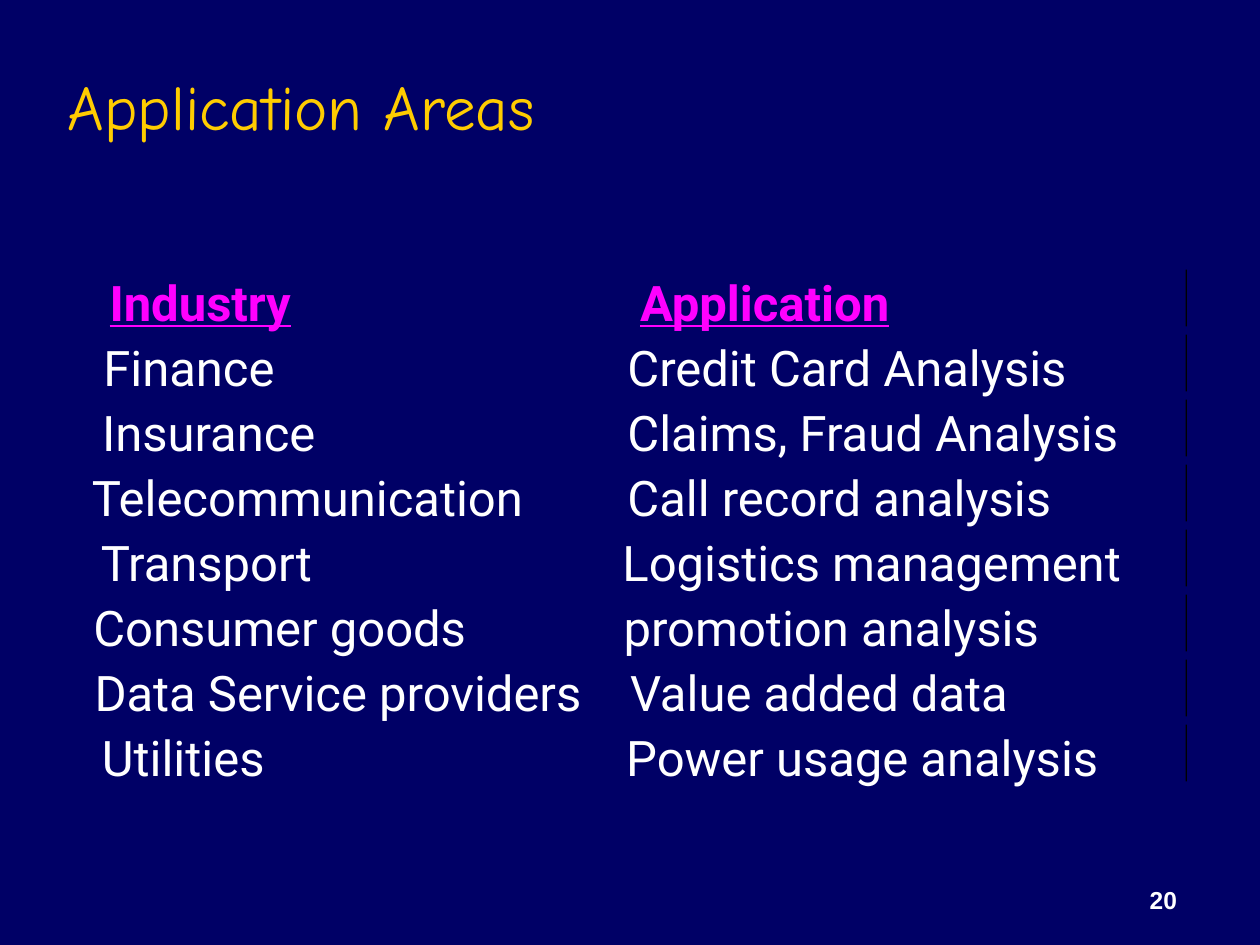
"""Build the slide that pairs industries with their application areas."""
from pptx import Presentation
from pptx.dml.color import RGBColor
from pptx.enum.shapes import MSO_SHAPE
from pptx.enum.text import MSO_ANCHOR, MSO_AUTO_SIZE, PP_ALIGN
from pptx.util import Inches, Pt

COLORS = {"back": "000066", "title": "FFCC00", "head": "FF00FF",
          "text": "FFFFFF", "rule": "000000"}
TOP, STEP = 2.16, 0.516
ROWS = [
    (("Industry", 0.87, 1.67), ("Application", 5.08, 2.21)),
    (("Finance", 0.82, 1.41), ("Credit Card Analysis", 4.98, 3.65)),
    (("Insurance", 0.81, 1.82), ("Claims, Fraud Analysis", 4.98, 4.05)),
    (("Telecommunication", 0.73, 3.6), ("Call record analysis", 4.98, 3.51)),
    (("Transport", 0.8, 1.8), ("Logistics management", 4.94, 4.14)),
    (("Consumer goods", 0.74, 3.12), ("promotion analysis", 4.95, 3.5)),
    (("Data Service providers", 0.75, 4.09), ("Value added data", 5, 3.18)),
    (("Utilities", 0.81, 1.37), ("Power usage analysis", 4.97, 3.91)),
]


def color(name):
    return RGBColor.from_string(COLORS[name])


def add_text(slide, text, area, face, size, hue, bold=False):
    box = slide.shapes.add_textbox(*map(Inches, area))
    frame = box.text_frame
    frame.word_wrap = True
    run = frame.paragraphs[0].add_run()
    run.text = text
    font = run.font
    font.name, font.size, font.bold = face, Pt(size), bold
    font.color.rgb = color(hue)
    return frame


def add_label(slide, text, left, top, width, head):
    hue = "head" if head else "text"
    frame = add_text(slide, text, (left, top, width, 0.47), "Roboto", 28, hue, head)
    frame.margin_left = frame.margin_right = 0
    frame.margin_top = frame.margin_bottom = 0
    frame.word_wrap = False
    frame.auto_size = MSO_AUTO_SIZE.SHAPE_TO_FIT_TEXT
    if head:
        frame.paragraphs[0].runs[0].font.underline = True


def add_rule(slide, top):
    area = map(Inches, (9.41, top, 0.01, 0.45))
    rule = slide.shapes.add_shape(MSO_SHAPE.RECTANGLE, *area)
    rule.shadow.inherit = False
    rule.fill.solid()
    rule.fill.fore_color.rgb = color("rule")
    rule.line.fill.background()


def main():
    deck = Presentation()
    deck.slide_width, deck.slide_height = Inches(10), Inches(7.5)
    slide = deck.slides.add_slide(deck.slide_layouts[6])
    slide.background.fill.solid()
    slide.background.fill.fore_color.rgb = color("back")

    title = add_text(slide, "Application Areas", (0.44, 0.25, 8.5, 1.17),
                     "Comic Neue", 36, "title")
    title.vertical_anchor = MSO_ANCHOR.MIDDLE

    for index, row in enumerate(ROWS):
        top = TOP + index * STEP
        for text, left, width in row:
            add_label(slide, text, left, top, width, index == 0)
        add_rule(slide, top - 0.02)

    number = add_text(slide, "20", (7.36, 6.81, 2.08, 0.5), "Arial", 14, "text", True)
    number.vertical_anchor = MSO_ANCHOR.BOTTOM
    number.paragraphs[0].alignment = PP_ALIGN.RIGHT
    deck.save("out.pptx")


if __name__ == "__main__":
    main()
